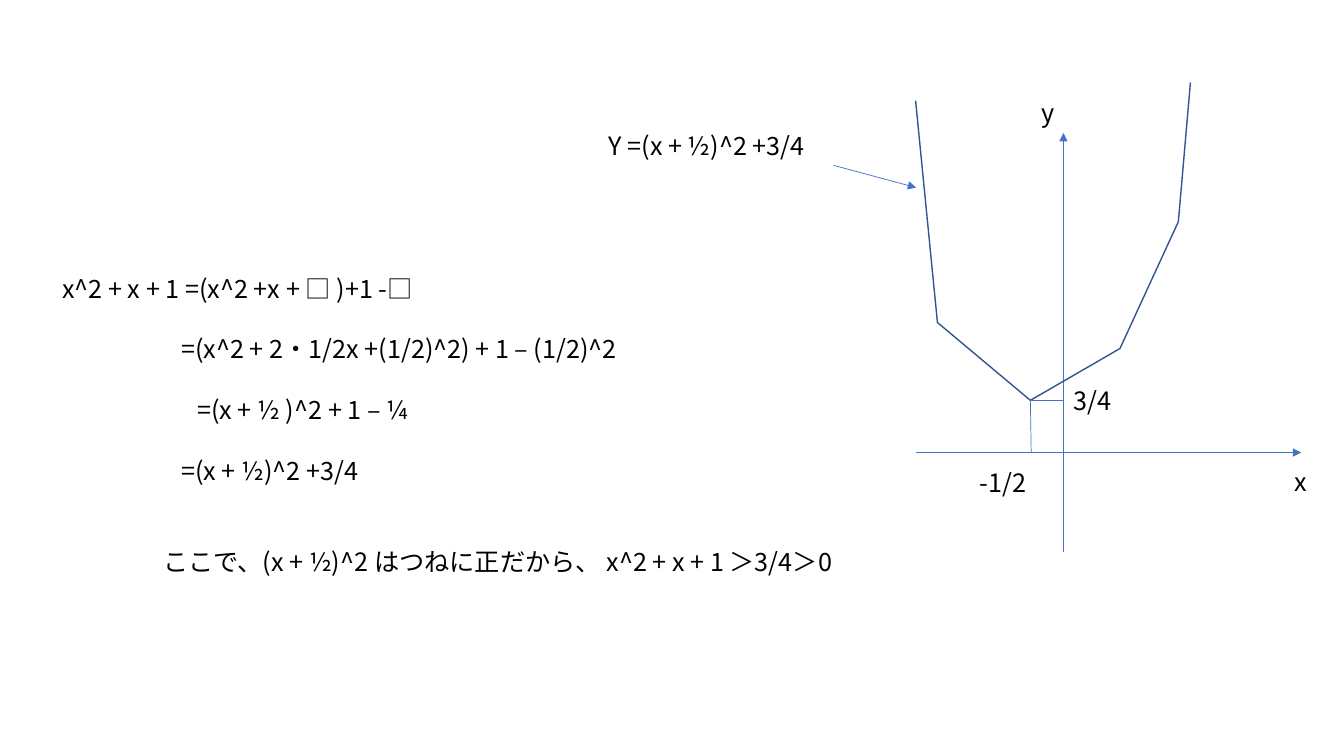
from lxml.etree import SubElement
from pptx import Presentation
from pptx.dml.color import RGBColor
from pptx.enum.shapes import MSO_CONNECTOR as Connector
from pptx.oxml.ns import qn
from pptx.util import Pt

FONT = "Noto Sans CJK JP"
TEXT_SIZE = 18
LINE_HEIGHT = 21.8
LABEL_HEIGHT = 29
BLACK = RGBColor(0x00, 0x00, 0x00)
AXIS_BLUE = RGBColor(0x44, 0x72, 0xC4)
CURVE_BLUE = RGBColor(0x32, 0x54, 0x91)

# text, first-line indent, blank lines before
DERIVATION = [
    ("x^2 + x + 1 =(x^2 +x + □ )+1 -□", 0, 0),
    ("=(x^2 + 2・1/2x +(1/2)^2) + 1 – (1/2)^2", 85, 1),
    ("=(x + ½ )^2 + 1 – ¼", 96.5, 1),
    ("=(x + ½)^2 +3/4", 85, 1),
    ("ここで、(x + ½)^2 はつねに正だから、 x^2 + x + 1 ＞3/4＞0", 72, 2),
]


def add_text(slide, lines, left, top, width, height):
    """Add a text box from (text, first-line indent, blank lines before) entries."""
    box = slide.shapes.add_textbox(Pt(left), Pt(top), Pt(width), Pt(height))
    frame = box.text_frame
    frame.word_wrap = True
    for index, (text, indent, blank_lines) in enumerate(lines):
        paragraph = frame.add_paragraph() if index else frame.paragraphs[0]
        if indent:
            paragraph._p.get_or_add_pPr().set("indent", str(int(Pt(indent))))
        if blank_lines:
            paragraph.space_before = Pt(blank_lines * LINE_HEIGHT)
        run = paragraph.add_run()
        run.text = text
        for name, value in {"name": FONT, "size": Pt(TEXT_SIZE)}.items():
            setattr(run.font, name, value)
        run.font.color.rgb = BLACK
        SubElement(run._r.get_or_add_rPr(), qn("a:ea"), typeface=FONT)


def add_label(slide, text, left, top, width):
    add_text(slide, [(text, 0, 0)], left, top, width, LABEL_HEIGHT)


def add_line(slide, start, end, arrow=False):
    line = slide.shapes.add_connector(
        Connector.STRAIGHT, *(Pt(value) for value in (*start, *end)))
    line.line.color.rgb = AXIS_BLUE
    line.line.width = Pt(0.5)
    if arrow:
        SubElement(line.line._get_or_add_ln(), qn("a:tailEnd"), type="triangle")
    SubElement(line._element.spPr, qn("a:effectLst"))


def add_graph(slide, left, top, width, height):
    """Draw the parabola with its axes, guides to the vertex and labels."""
    axis_x, axis_y = left + 105.6, top + 264.3
    curve = [(left + x, top + y) for x, y in (
        (0, 13), (15.6, 171.4), (82, 227), (146, 190), (187.7, 99.4), (196.3, 0))]
    vertex = curve[2]

    add_line(slide, (left + 0.5, axis_y), (left + width, axis_y), arrow=True)
    add_line(slide, (axis_x, top + height), (axis_x, top + 36), arrow=True)

    builder = slide.shapes.build_freeform(Pt(curve[0][0]), Pt(curve[0][1]))
    builder.add_line_segments([(Pt(x), Pt(y)) for x, y in curve[1:]], close=False)
    parabola = builder.convert_to_shape()
    parabola.shadow.inherit = False
    parabola.fill.background()
    parabola.line.color.rgb = CURVE_BLUE
    parabola.line.width = Pt(1)

    add_line(slide, vertex, (axis_x, vertex[1]))
    add_line(slide, vertex, (vertex[0] + 0.6, axis_y))

    add_label(slide, "x", left + 263.3, axis_y + 6.5, 23)
    add_label(slide, "y", axis_x - 23, top + 7.2, 23)
    add_label(slide, "3/4", axis_x, vertex[1] - 14.5, 49)
    add_label(slide, "-1/2", left + 38.6, axis_y + 7, 57)


def add_callout(slide, left, top, width):
    """Name the curve and point an arrow at it."""
    add_label(slide, "Y =(x + ½)^2 +3/4", left, top, width)
    start = (left + 167.7, top + 28.8)
    add_line(slide, start, (start[0] + 59, start[1] + 15.9), arrow=True)


def main():
    presentation = Presentation()
    presentation.slide_width, presentation.slide_height = Pt(960), Pt(540)
    slide = presentation.slides.add_slide(presentation.slide_layouts[6])
    add_text(slide, DERIVATION, 37.4, 191.5, 585, 225)
    add_graph(slide, 654, 59, 275.5, 335)
    add_callout(slide, 427.7, 89.3, 177)
    presentation.save("out.pptx")


if __name__ == "__main__":
    main()
